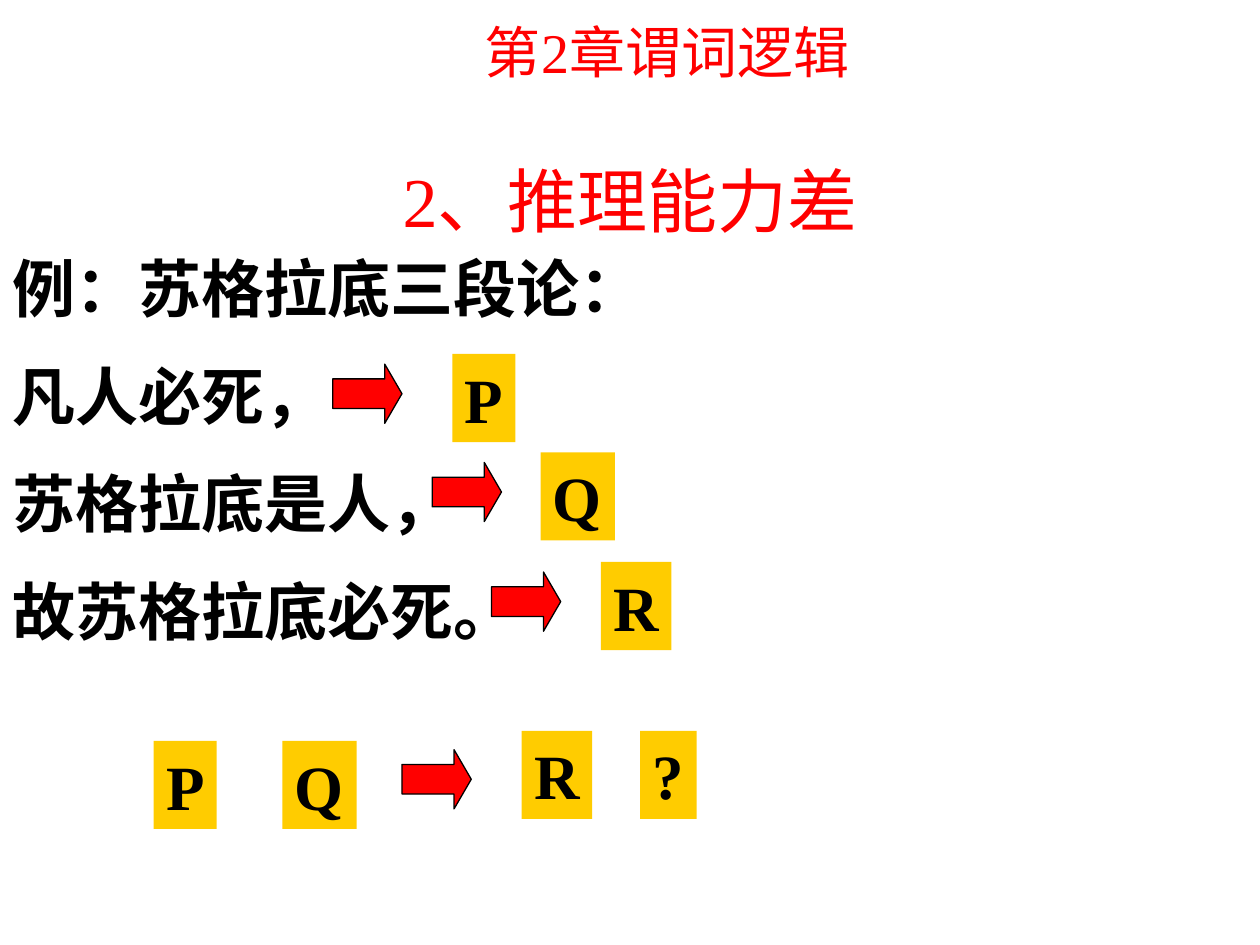
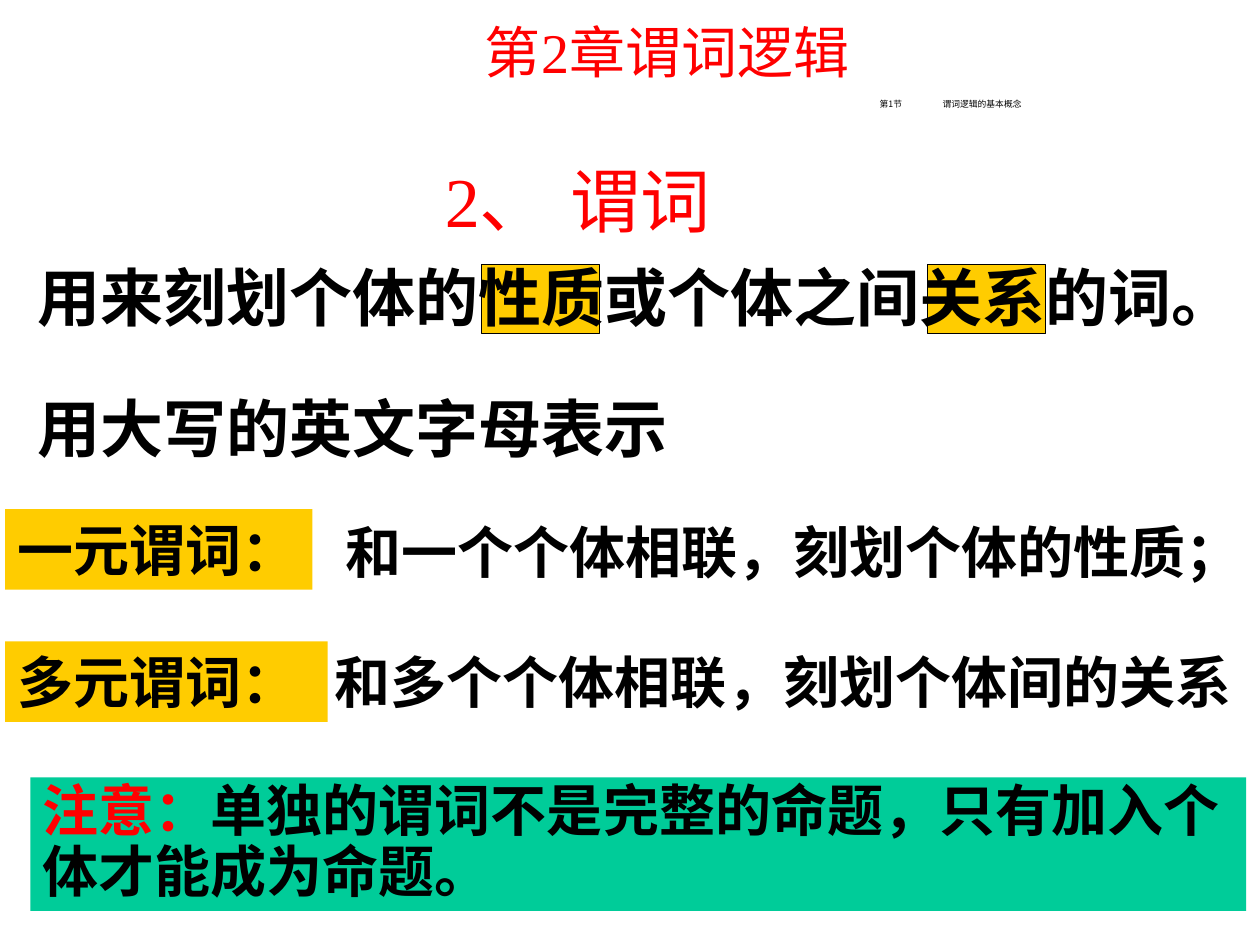
from dataclasses import dataclass

import pptx
import pptx.dml.color
import pptx.enum.shapes
import pptx.enum.text
import pptx.oxml.ns
import pptx.util
from lxml import etree
from pptx.util import Inches

ALIGN = pptx.enum.text.PP_ALIGN
ANCHOR = pptx.enum.text.MSO_ANCHOR
SHAPE = pptx.enum.shapes.MSO_SHAPE


@dataclass(frozen=True)
class Theme:
    """Colours, fonts and type sizes shared by the slides."""
    red: str = "FF0000"
    black: str = "000000"
    yellow: str = "FFCC00"
    green: str = "00CC99"
    latin: str = "Times New Roman"
    chinese: str = "Noto Sans CJK SC"
    body_font: str = "Noto Sans CJK JP"
    title_size: int = 40
    large_size: int = 36
    medium_size: int = 32
    tiny_size: int = 5
    outline: float = 0.75


THEME = Theme()
LETTER_WIDTHS = {"P": 0.5, "Q": 0.59, "R": 0.56, "?": 0.45}
LETTER_HEIGHT = 0.7
LINE_HEIGHT = 0.64


def rgb(value):
    """Turn a hex string into a colour."""
    return pptx.dml.color.RGBColor.from_string(value)


def add_run(paragraph, text, size, color, bold, latin, chinese):
    """Add one formatted run with Latin and Chinese fonts."""
    run = paragraph.add_run()
    run.text = text
    run.font.size = pptx.util.Pt(size)
    run.font.bold = bold
    run.font.name = latin
    run.font.color.rgb = rgb(color)
    properties = run.font._element
    etree.SubElement(properties, pptx.oxml.ns.qn("a:ea"), typeface=chinese)


def write_text(shape, *lines, size=THEME.medium_size, color=THEME.black, bold=True,
               latin=THEME.latin, chinese=THEME.chinese, align=ALIGN.LEFT,
               anchor=ANCHOR.TOP, wrap=True, spacing=None, gap=0, lead="", tab=None):
    """Write formatted lines into a shape, with an optional red lead-in."""
    frame = shape.text_frame
    frame.auto_size = pptx.enum.text.MSO_AUTO_SIZE.NONE
    frame.word_wrap = wrap
    frame.vertical_anchor = anchor
    for index, line in enumerate(lines):
        paragraph = frame.add_paragraph() if index else frame.paragraphs[0]
        paragraph.alignment = align
        paragraph.line_spacing = spacing
        paragraph.space_before = pptx.util.Pt(gap if index else 0)
        properties = paragraph._p.get_or_add_pPr()
        properties.set("marL", "0")
        properties.set("indent", "0")
        etree.SubElement(properties, pptx.oxml.ns.qn("a:buNone"))
        if tab:
            stops = etree.SubElement(properties, pptx.oxml.ns.qn("a:tabLst"))
            etree.SubElement(stops, pptx.oxml.ns.qn("a:tab"), pos=str(Inches(tab)), algn="l")
        if lead and not index:
            add_run(paragraph, lead, size, THEME.red, bold, latin, chinese)
        add_run(paragraph, line, size, color, bold, latin, chinese)


def place(shape, left, top, width, height):
    """Move and size a shape in inches."""
    shape.left, shape.top = Inches(left), Inches(top)
    shape.width, shape.height = Inches(width), Inches(height)


def add_block(slide, kind, left, top, width, height, fill, outlined=False):
    """Add a filled preset shape."""
    shape = slide.shapes.add_shape(
        kind, Inches(left), Inches(top), Inches(width), Inches(height))
    shape.shadow.inherit = False
    shape.fill.solid()
    shape.fill.fore_color.rgb = rgb(fill)
    if outlined:
        shape.line.color.rgb = rgb(THEME.black)
        shape.line.width = pptx.util.Pt(THEME.outline)
    else:
        shape.line.fill.background()
    return shape


def add_label(slide, text, left, top, width, height=LINE_HEIGHT, **text_format):
    """Add a text box."""
    box = slide.shapes.add_textbox(
        Inches(left), Inches(top), Inches(width), Inches(height))
    write_text(box, text, **text_format)


def add_arrow(slide, left, top):
    """Add a red block arrow."""
    arrow = add_block(slide, SHAPE.RIGHT_ARROW, left, top, 0.55, 0.47, THEME.red, True)
    arrow.adjustments[0] = 0.5
    arrow.adjustments[1] = 0.29


def add_letter(slide, letter, left, top):
    """Add a proposition letter on yellow."""
    block = add_block(slide, SHAPE.RECTANGLE, left, top,
                      LETTER_WIDTHS[letter], LETTER_HEIGHT, THEME.yellow)
    write_text(block, letter, size=THEME.large_size, wrap=False)


def add_titled_slide(presentation, layout, title, tab=None, indent=0.1):
    """Start a slide with the chapter heading and its title."""
    slide = presentation.slides.add_slide(presentation.slide_layouts[layout])
    place(slide.shapes.title, 0.75, 1.17, 8.5, 0.83)
    slide.shapes.title.text_frame.margin_left = Inches(indent)
    write_text(slide.shapes.title, title, size=THEME.title_size, color=THEME.red,
               bold=False, align=ALIGN.LEFT if tab else ALIGN.CENTER,
               anchor=ANCHOR.MIDDLE, tab=tab)
    add_label(slide, "第2章谓词逻辑", 3.17, 0.09, 4.25, color=THEME.red,
              bold=False, align=ALIGN.CENTER)
    return slide


def add_premises(slide, left, top):
    """Point each statement of the syllogism to its letter."""
    steps = (("P", 0, 0.95, 0), ("Q", 0.79, 0.86, 0.78), ("R", 1.26, 0.87, 1.65))
    for letter, arrow_shift, letter_shift, drop in steps:
        add_arrow(slide, left + arrow_shift, top + drop + 0.08)
        add_letter(slide, letter, left + arrow_shift + letter_shift, top + drop)


def add_conclusion(slide, left, top):
    """Ask whether P and Q lead to R."""
    for letter, shift, drop in (("P", 0, 0.08), ("Q", 1.02, 0.08),
                                ("R", 2.92, 0), ("?", 3.86, 0)):
        add_letter(slide, letter, left + shift, top + drop)
    add_arrow(slide, left + 1.97, top + 0.15)


def add_statement(slide, left, top):
    """State what a predicate is, with its key words highlighted."""
    for shift in (3.62, 7.16):
        add_block(slide, SHAPE.RECTANGLE, left + shift, top + 0.1, 0.94, 0.55,
                  THEME.yellow, True)
    lines = (("用来刻划个体的性质或个体之间关系的词。", 9.7, 0),
             ("用大写的英文字母表示", 5.2, 1.04))
    for text, width, drop in lines:
        add_label(slide, text, left, top + drop, width, LETTER_HEIGHT,
                  size=THEME.large_size, wrap=False)


def add_definition(slide, term, meaning, left, top, width, shift, drop=0):
    """Add a term on yellow with its meaning beside it."""
    block = add_block(slide, SHAPE.RECTANGLE, left, top, width, LINE_HEIGHT, THEME.yellow)
    write_text(block, term)
    add_label(slide, meaning, left + shift, top + drop, 9.96 - shift)


def add_note(slide, left, top):
    """Add the green remark."""
    block = add_block(slide, SHAPE.RECTANGLE, left, top, 9.65, 1.06, THEME.green)
    write_text(block, "单独的谓词不是完整的命题，只有加入个体才能成为命题。",
               lead="注意：", spacing=0.9)


def build_reasoning_slide(presentation):
    """Build the slide on weak reasoning power."""
    slide = add_titled_slide(presentation, 1, "2、推理能力差")
    body = slide.placeholders[1]
    place(body, 0, 2, 10, 3.4)
    write_text(body, "例：苏格拉底三段论：", "凡人必死，", "苏格拉底是人，", "故苏格拉底必死。",
               size=THEME.large_size, latin=THEME.body_font, chinese=THEME.body_font,
               spacing=0.9, gap=22.5)
    add_premises(slide, 2.64, 2.81)
    add_conclusion(slide, 1.22, 5.8)


def build_predicate_slide(presentation):
    """Build the slide that defines predicates."""
    slide = add_titled_slide(presentation, 5, "2、\t谓词", tab=1.84, indent=2.78)
    add_label(slide, "第1节\t谓词逻辑的基本概念", 5.17, 0.76, 4.75, 0.14,
              size=THEME.tiny_size, bold=False, latin=THEME.chinese,
              align=ALIGN.CENTER, anchor=ANCHOR.MIDDLE, spacing=0.8, tab=1)
    add_statement(slide, 0.2, 2)
    add_definition(slide, "一元谓词：", "和一个个体相联，刻划个体的性质；",
                   0.04, 4.04, 2.44, 2.6, 0.02)
    add_definition(slide, "多元谓词：", "和多个个体相联，刻划个体间的关系",
                   0.04, 5.09, 2.56, 2.52)
    add_note(slide, 0.24, 6.17)


def main():
    """Build and save the presentation."""
    presentation = pptx.Presentation()
    presentation.slide_width, presentation.slide_height = Inches(10), Inches(7.5)
    build_reasoning_slide(presentation)
    build_predicate_slide(presentation)
    presentation.save("out.pptx")


if __name__ == "__main__":
    main()
